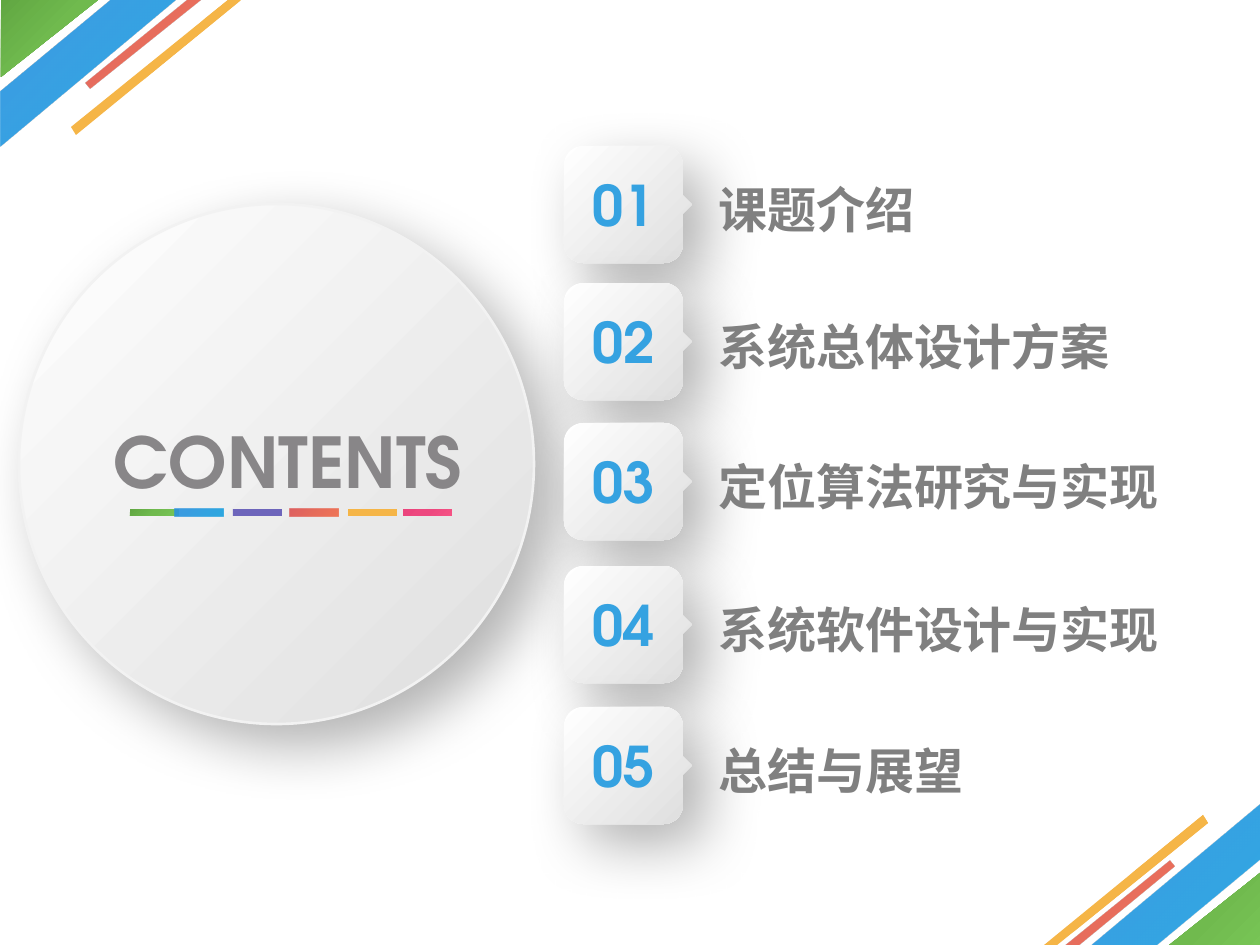
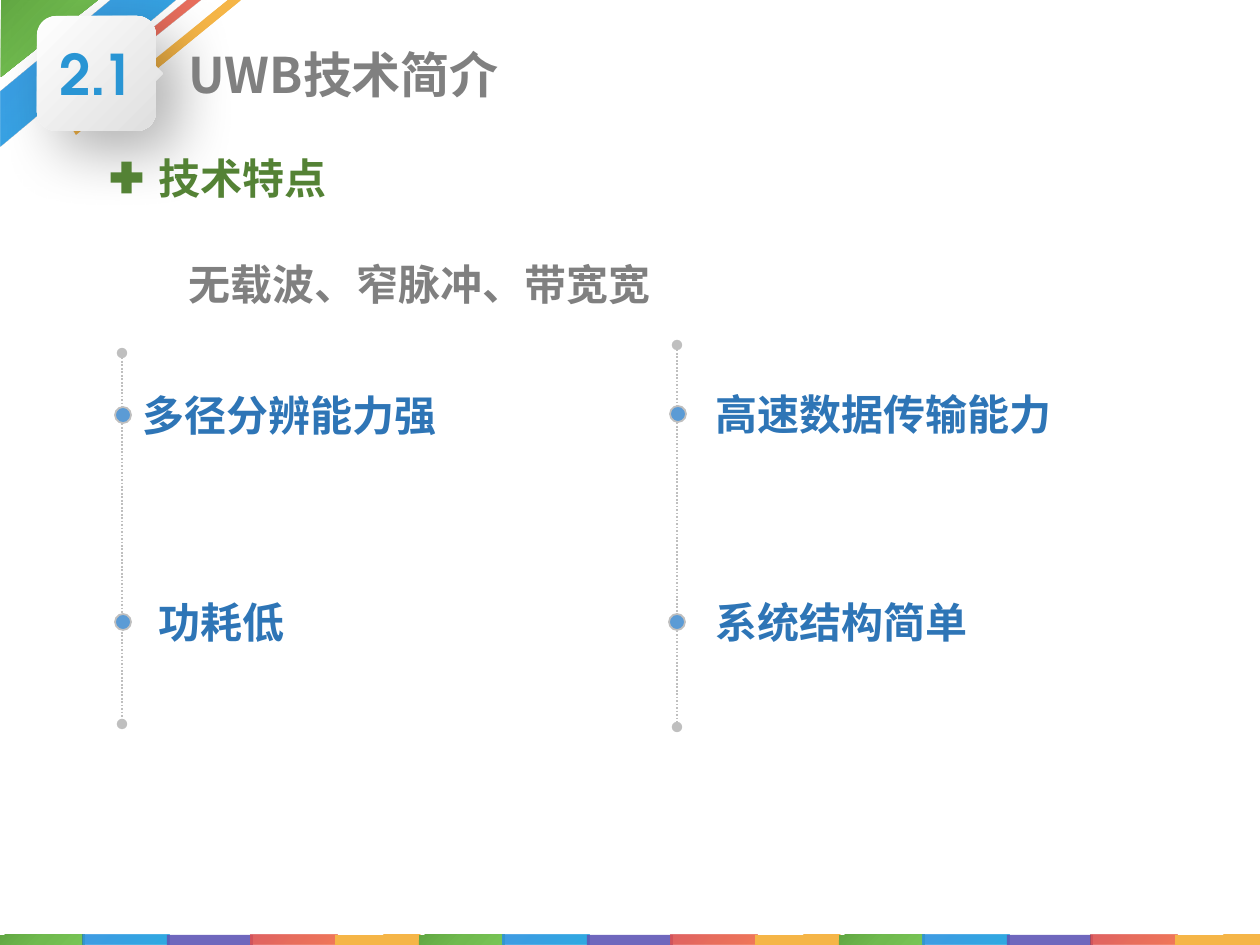
"""Builds a contents slide and a topic slide that share ribbons, tiles and colour bars."""
import math

import lxml.etree
import pptx
import pptx.dml.color
import pptx.enum.dml
import pptx.enum.shapes
import pptx.enum.text
import pptx.oxml.ns
import pptx.util
from dataclasses import dataclass

SHAPE = pptx.enum.shapes.MSO_SHAPE
ALIGN = pptx.enum.text.PP_ALIGN
ANCHOR = pptx.enum.text.MSO_ANCHOR
qn = pptx.oxml.ns.qn

PX = 914400 / 126
WIDTH, HEIGHT = 1260, 945


@dataclass(frozen=True)
class Theme:
    """Fonts, type sizes and colours."""
    latin: str = "TeX Gyre Adventor"
    cjk: str = "Noto Sans CJK SC"
    hero: int = 40
    number: int = 32
    title: int = 28
    body: int = 24
    gray: str = "808080"
    hero_gray: str = "888688"
    number_blue: str = "35A2E1"
    section_blue: str = "2995D4"
    heading_green: str = "548235"
    point_blue: str = "2E75B6"
    dot_blue: str = "5B9BD5"
    rule_gray: str = "BFBFBF"
    rim: str = "F2F2F2"


T = Theme()
FILLS = {
    "green": (("78C556", "70BA4E", "61A742"), 100),
    "blue": (("19A2DF", "2399E0", "2D91E0"), 90),
    "purple": (("6057B6", "6057B6"), 90),
    "red": (("F06A48", "E65F4D", "DC5153"), 90),
    "yellow": (("F5B647", "F5B547", "F5B547"), 100),
    "pink": (("F55284", "ED487F", "EB457D"), 100),
    "paper": (("FFFFFF", "DEDEDE"), 100),
}

CHAPTERS = [
    ("01", "课题介绍", 146),
    ("02", "系统总体设计方案", 283),
    ("03", "定位算法研究与实现", 423),
    ("04", "系统软件设计与实现", 566),
    ("05", "总结与展望", 707),
]
CONTENTS_BARS = [("green", 130), ("blue", 175), ("purple", 233),
                 ("red", 290), ("yellow", 348), ("pink", 403)]
FOOTER_COLOURS = ["green", "blue", "purple", "red", "yellow"] * 3
RIBBONS = [
    ("blue", [(1, 146), (176, 0), (111, 0), (1, 91)], 0),
    ("red", [(91, 89), (202, 0), (188, 0), (86, 83)], 0),
    ("yellow", [(76, 135), (241, 0), (228, 0), (71, 127)], 18),
]
TIMELINES = [
    {"x": 122, "top": 353, "bottom": 724,
     "points": [("多径分辨能力强", 123, 415, 130, 595), ("功耗低", 123, 622, 146, 228)]},
    {"x": 677, "top": 345, "bottom": 727,
     "points": [("高速数据传输能力", 678, 414, 703, 472), ("系统结构简单", 677, 622, 703, 325)]},
]


def px(*values):
    return [pptx.util.Emu(round(v * PX)) for v in values]


def rgb(value):
    return pptx.dml.color.RGBColor.from_string(value)


def put(target, values):
    for name, value in values.items():
        setattr(target, name, value)


def node(parent, tag, **attrs):
    return lxml.etree.SubElement(parent, qn(tag), {k: str(v) for k, v in attrs.items()})


def colour_node(parent, colour, alpha):
    clr = node(parent, "a:srgbClr", val=colour)
    if alpha < 100:
        node(clr, "a:alpha", val=alpha * 1000)


def paint(s, name):
    """Fill a shape with a named theme fill or a plain hex colour."""
    s.shadow.inherit = False
    s.line.fill.background()
    s.fill.solid()
    if name not in FILLS:
        s.fill.fore_color.rgb = rgb(name)
        return s
    colours, alpha = FILLS[name]
    old = s.element.spPr.find(qn("a:solidFill"))
    if name == "purple":
        old.clear()
        colour_node(old, colours[0], alpha)
        return s
    grad = lxml.etree.Element(qn("a:gradFill"), rotWithShape="1")
    stops = node(grad, "a:gsLst")
    for i, colour in enumerate(colours):
        pos = round(100000 * i / (len(colours) - 1))
        colour_node(node(stops, "a:gs", pos=pos), colour, alpha)
    if name == "paper":
        node(grad, "a:lin", ang=45 * 60000, scaled=0)
    else:
        way = node(grad, "a:path", path="circle")
        node(way, "a:fillToRect", l=100000, t=100000)
    s.element.spPr.replace(old, grad)
    return s


def cast_shadow(s):
    effects = s.element.spPr.find(qn("a:effectLst"))
    shadow = node(effects, "a:outerShdw", blurRad=34 * 12700, dist=17 * 12700,
                  dir=45 * 60000, algn="tl", rotWithShape=0)
    colour_node(shadow, "000000", 30)


def add_shape(slide, kind, box, fill):
    return paint(slide.shapes.add_shape(kind, *px(*box)), fill)


def add_outline(slide, points, fill):
    start, *rest = [px(*point) for point in points]
    builder = slide.shapes.build_freeform(*start)
    builder.add_line_segments(rest, close=True)
    return paint(builder.convert_to_shape(), fill)


def write(s, text, size, colour, font=T.cjk, align=ALIGN.LEFT, anchor=ANCHOR.TOP, wrap=True):
    tf = s.text_frame
    put(tf, {"word_wrap": wrap, "vertical_anchor": anchor,
             "auto_size": pptx.enum.text.MSO_AUTO_SIZE.SHAPE_TO_FIT_TEXT})
    p = tf.paragraphs[0]
    p.alignment = align
    r = p.add_run()
    r.text = text
    put(r.font, {"size": pptx.util.Pt(size), "bold": True, "name": font})
    r.font.color.rgb = rgb(colour)
    node(r._r.get_or_add_rPr(), "a:ea", typeface=font)


def add_text(slide, box, *args, **formats):
    write(slide.shapes.add_textbox(*px(*box)), *args, **formats)


def add_corner(slide, mirrored=False):
    """Draw the ribbons at the top left, or turned to the bottom right."""
    box = (1163, 873, 97, 77) if mirrored else (1, 0, 97, 77)
    s = add_shape(slide, SHAPE.RIGHT_TRIANGLE, box, "green")
    s.element.spPr.xfrm.set("flipH" if mirrored else "flipV", "1")
    for name, points, shift in RIBBONS:
        if mirrored:
            points = [(1261 + shift - x, 950 - y) for x, y in points]
        add_outline(slide, points, name)


def tile_points(x, y, w, h, tip):
    """Rounded square with a small pointer on its right side."""
    radius, middle = 19, y + h / 2
    corners = [(x + w - radius, y + radius, -90), (x + w - radius, y + h - radius, 0),
               (x + radius, y + h - radius, 90), (x + radius, y + radius, 180)]
    points = []
    for cx, cy, first in corners:
        for angle in range(first, first + 91, 10):
            a = math.radians(angle)
            points.append((cx + radius * math.cos(a), cy + radius * math.sin(a)))
        if first == -90:
            points += [(x + w, middle - tip), (x + w + tip, middle), (x + w, middle + tip)]
    return points


def add_tile(slide, x, y, h, number, colour, label, label_box, tip):
    w, number_w, number_h = 119, 112, 89
    cast_shadow(add_outline(slide, tile_points(x, y, w, h, tip), "paper"))
    box = (x + (w - number_w) / 2, y + (h - number_h) / 2, number_w, number_h)
    s = add_shape(slide, SHAPE.ROUNDED_RECTANGLE, box, "paper")
    s.fill.background()
    write(s, number, T.number, colour, T.latin, ALIGN.CENTER, ANCHOR.MIDDLE, False)
    add_text(slide, label_box, label, T.title, T.gray, anchor=ANCHOR.MIDDLE)


def add_bars(slide, bars, y, w, h):
    for name, x in bars:
        add_shape(slide, SHAPE.RECTANGLE, (x, y, w, h), name)


def outline(line, width):
    line.color.rgb = rgb(T.rule_gray)
    line.width = pptx.util.Pt(width)


def add_timeline(slide, x, top, bottom, points):
    straight = pptx.enum.shapes.MSO_CONNECTOR.STRAIGHT
    c = slide.shapes.add_connector(straight, *px(x, top, x, bottom))
    outline(c.line, 1)
    c.line.dash_style = pptx.enum.dml.MSO_LINE.ROUND_DOT
    ln = c.element.spPr.find(qn("a:ln"))
    for end in ("a:headEnd", "a:tailEnd"):
        node(ln, end, type="oval")
    node(c.element.spPr, "a:effectLst")
    for text, cx, cy, left, width in points:
        dot = add_shape(slide, SHAPE.OVAL, (cx - 8, cy - 8, 16, 16), T.dot_blue)
        outline(dot.line, 1)
        add_text(slide, (left, cy - 32, width, 63), text, T.body, T.point_blue)


def build_contents(slide):
    add_corner(slide)
    add_corner(slide, mirrored=True)
    disc = add_shape(slide, SHAPE.OVAL, (19, 204, 515, 520), "paper")
    disc.line.color.rgb = rgb(T.rim)
    disc.line.width = pptx.util.Pt(1.5)
    cast_shadow(disc)
    add_text(slide, (66, 412, 444, 97), "CONTENTS", T.hero, T.hero_gray,
             font=T.latin, align=ALIGN.CENTER)
    add_bars(slide, CONTENTS_BARS, 509, 49, 7)
    for number, label, y in CHAPTERS:
        add_tile(slide, 564, y, 117, number, T.number_blue, label, (706, y + 27, 602, 72), 9)


def build_topic(slide):
    add_corner(slide)
    add_tile(slide, 37, 16, 115, "2.1", T.section_blue, "UWB技术简介", (176, 38, 629, 72), 7)
    add_shape(slide, SHAPE.MATH_PLUS, (105, 156, 43, 43), T.heading_green)
    add_text(slide, (146, 146, 207, 63), "技术特点", T.body, T.heading_green)
    for timeline in TIMELINES:
        add_timeline(slide, **timeline)
    add_text(slide, (176, 252, 489, 63), "无载波、窄脉冲、带宽宽", T.body, T.gray, wrap=False)
    add_bars(slide, [(name, 84 * i - 1) for i, name in enumerate(FOOTER_COLOURS)], 935, 86, 10)


def main():
    prs = pptx.Presentation()
    prs.slide_width, prs.slide_height = px(WIDTH, HEIGHT)
    for build in (build_contents, build_topic):
        build(prs.slides.add_slide(prs.slide_layouts[6]))
    prs.save("out.pptx")


if __name__ == "__main__":
    main()
